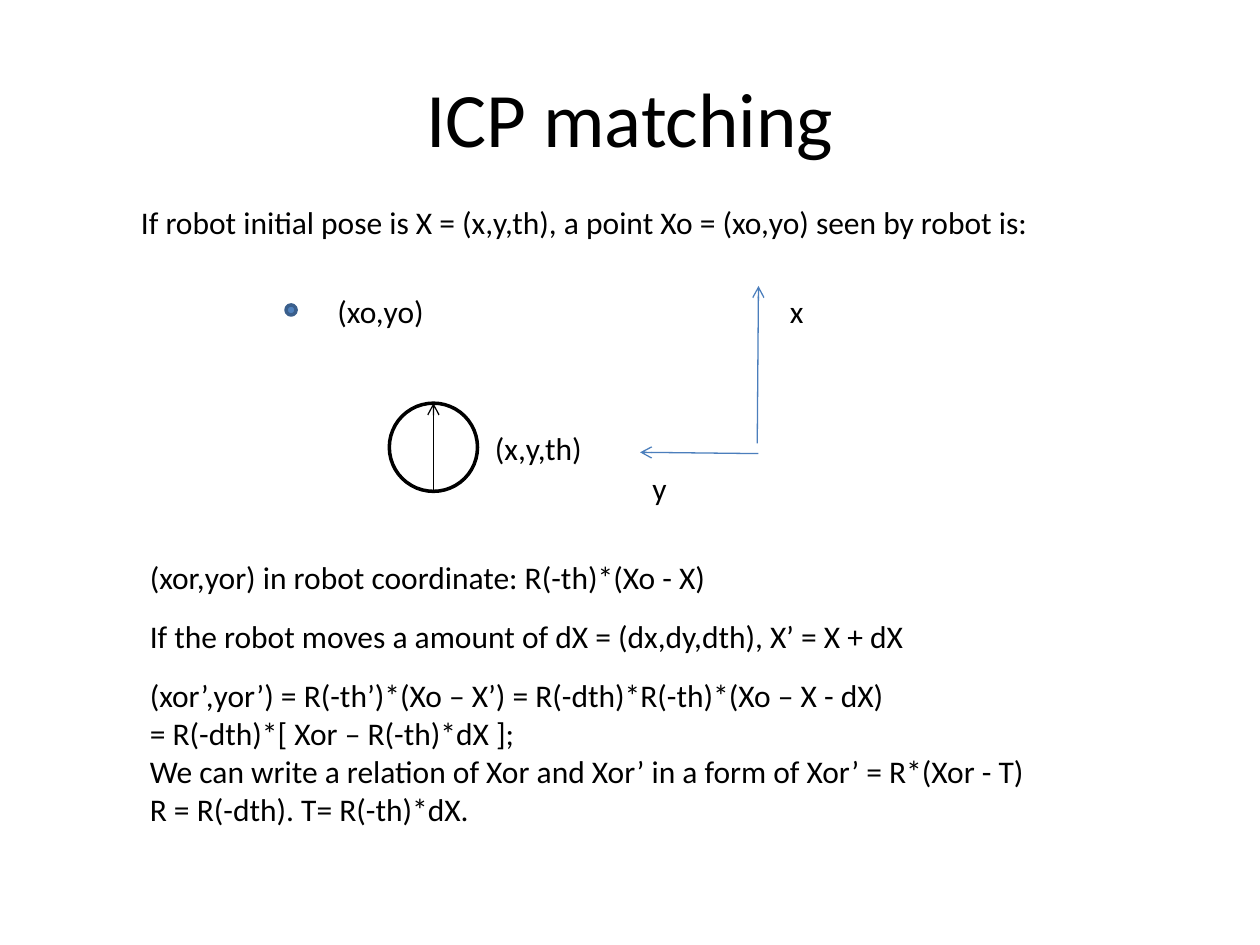
from lxml import etree
from pptx import Presentation
from pptx.dml.color import RGBColor
from pptx.enum.shapes import MSO_CONNECTOR, MSO_SHAPE
from pptx.enum.text import MSO_ANCHOR, PP_ALIGN
from pptx.oxml.ns import qn
from pptx.util import Inches, Pt

STRAIGHT = MSO_CONNECTOR.STRAIGHT
OVAL = MSO_SHAPE.OVAL
MIDDLE = MSO_ANCHOR.MIDDLE
CENTER = PP_ALIGN.CENTER
FONT = "Calibri"
BLACK, WHITE = "000000", "FFFFFF"
AXIS, POINT, POINT_EDGE = "4B7EBC", "4F81BD", "3A5F8C"


def rgb(color):
    return RGBColor.from_string(color)


def style(p, size):
    p.font.name = FONT
    p.font.size = Pt(size)
    p.font.color.rgb = rgb(BLACK)


def add_text(s, x, y, w, h, *lines):
    tf = s.shapes.add_textbox(Inches(x), Inches(y), Inches(w), Inches(h)).text_frame
    tf.word_wrap = True
    for i, line in enumerate(lines):
        p = tf.add_paragraph() if i else tf.paragraphs[0]
        p.text = line
        style(p, 18)


def add_circle(s, x, y, d, fill, line):
    sp = s.shapes.add_shape(OVAL, Inches(x), Inches(y), Inches(d), Inches(d))
    sp.shadow.inherit = False
    sp.fill.solid()
    sp.fill.fore_color.rgb = rgb(fill)
    sp.line.color.rgb = rgb(line)
    sp.line.width = Pt(2)


def add_arrow(s, x1, y1, x2, y2, color):
    c = s.shapes.add_connector(STRAIGHT, Inches(x1), Inches(y1), Inches(x2), Inches(y2))
    c.line.color.rgb = rgb(color)
    c.line.width = Pt(0.75)
    etree.SubElement(c.line._get_or_add_ln(), qn("a:tailEnd"), type="arrow")
    etree.SubElement(c._element.spPr, qn("a:effectLst"))


def add_title(s, x, y, w, h, text):
    sp = s.shapes.title
    sp.left, sp.top, sp.width, sp.height = map(Inches, (x, y, w, h))
    tf = sp.text_frame
    tf.text = text
    tf.vertical_anchor = MIDDLE
    p = tf.paragraphs[0]
    p.alignment = CENTER
    style(p, 44)


def add_robot(s, x, y, d):
    """Robot circle with its heading, and its pose to the right."""
    add_circle(s, x, y, d, WHITE, BLACK)
    add_arrow(s, x + d / 2, y + d, x + d / 2, y, BLACK)
    add_text(s, x + d + 0.04, y + 0.16, 1.02, 0.4, "(x,y,th)")


def add_point(s, x, y, d):
    """Observed point and its coordinates."""
    add_circle(s, x, y, d, POINT, POINT_EDGE)
    add_text(s, x + 0.31, y - 0.15, 1.02, 0.4, "(xo,yo)")


def add_axes(s, x, y, w, h):
    """World axes: x points up, y points left."""
    right, bottom = x + w, y + h
    add_arrow(s, right - 0.01, bottom - 0.08, right, y, AXIS)
    add_arrow(s, right, bottom, x, bottom - 0.01, AXIS)
    add_text(s, right + 0.15, y, 0.63, 0.4, "x")
    add_text(s, x, bottom + 0.07, 0.63, 0.4, "y")


def add_derivation(s, x, y, w):
    """Equations below the diagram."""
    blocks = [
        ["(xor,yor) in robot coordinate: R(-th)*(Xo - X)"],
        ["If the robot moves a amount of dX = (dx,dy,dth), X’ = X + dX"],
        ["(xor’,yor’) = R(-th’)*(Xo – X’) = R(-dth)*R(-th)*(Xo – X - dX)",
         "= R(-dth)*[ Xor – R(-th)*dX ];",
         "We can write a relation of Xor and Xor’ in a form of Xor’ = R*(Xor - T)",
         "R = R(-dth). T= R(-th)*dX."],
    ]
    for lines in blocks:
        h = 0.1 + 0.3 * len(lines)
        add_text(s, x, y, w, h, *lines)
        y += 0.47


def main():
    prs = Presentation()
    prs.slide_width, prs.slide_height = Inches(10), Inches(7.5)
    s = prs.slides.add_slide(prs.slide_layouts[5])

    add_title(s, 0.5, 0.3, 9, 1.25, "ICP matching")
    add_text(s, 1.02, 1.56, 7.81, 0.4,
             "If robot initial pose is X = (x,y,th), a point Xo = (xo,yo) seen by robot is:")
    # Diagram
    add_robot(s, 3.09, 3.2, 0.7)
    add_point(s, 2.27, 2.42, 0.08)
    add_axes(s, 5.08, 2.27, 0.94, 1.33)
    # Equations
    add_derivation(s, 1.09, 4.38, 7.95)
    prs.save("out.pptx")


if __name__ == "__main__":
    main()
